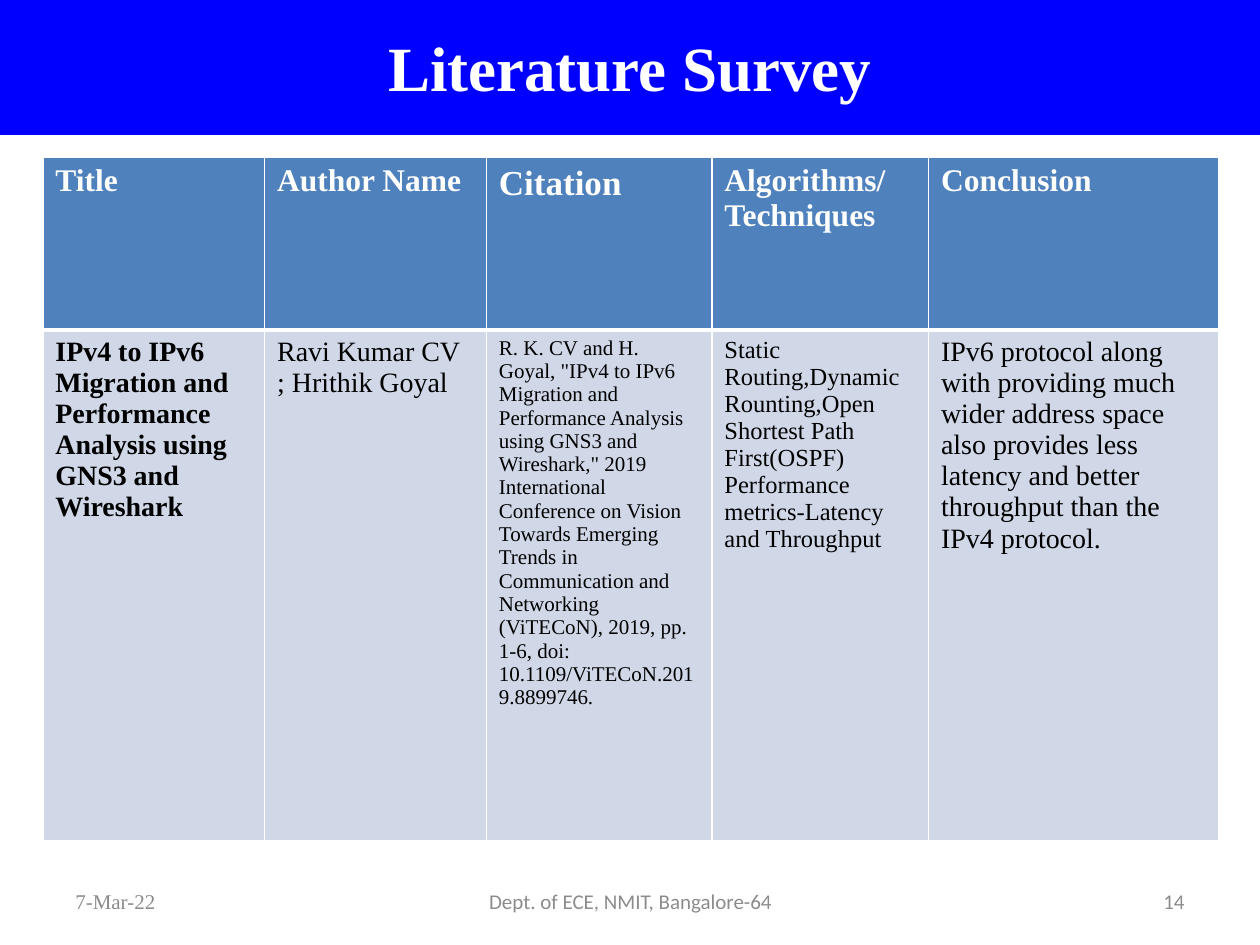
from lxml import etree
from pptx import Presentation
from pptx import util as u
from pptx.dml.color import RGBColor
from pptx.enum import shapes, text
from pptx.oxml.ns import qn

SERIF, SANS = "Times New Roman", "Calibri"
WHITE, BLACK, GREY = "FFFFFF", "000000", "8C8C8C"
BANNER_BLUE, HEADER_BLUE, BODY_BLUE = "0000FF", "4F81BD", "D0D8E8"
LEFT, CENTER, RIGHT = text.PP_ALIGN.LEFT, text.PP_ALIGN.CENTER, text.PP_ALIGN.RIGHT

# Content
TITLE = "Literature Survey"
# Each column: width, heading, heading size, body paragraphs, body size, body bold
COLUMNS = [
    (1.76, "Title", 18,
     ["IPv4 to IPv6 Migration and Performance Analysis using GNS3 and Wireshark"], 16, True),
    (1.76, "Author Name", 18,
     ["Ravi Kumar CV", ";\u00a0Hrithik Goyal"], 16, False),
    (1.79, "Citation", 20,
     ['R. K. CV and H. Goyal, "IPv4 to IPv6 Migration and Performance Analysis using '
      'GNS3 and Wireshark," 2019 International Conference on Vision Towards Emerging '
      'Trends in Communication and Networking (ViTECoN), 2019, pp. 1-6, '
      'doi: 10.1109/ViTECoN.2019.8899746.'], 12, False),
    (1.72, "Algorithms/Techniques", 18,
     ["Static Routing,Dynamic Rounting,Open Shortest Path First(OSPF)",
      "Performance metrics-Latency and Throughput"], 14, False),
    (2.3, "Conclusion", 18,
     ["IPv6 protocol along with providing much wider address space also provides less "
      "latency and better throughput than the IPv4 protocol."], 16, False),
]
ROW_HEIGHTS = [1.37, 4.05]
# Each footer part: left, width, words, font, alignment
FOOTER = [
    (0.5, 1, "7-Mar-22", SERIF, LEFT),
    (3.42, 3.17, "Dept. of ECE, NMIT, Bangalore-64", SANS, CENTER),
    (7.17, 2.33, "14", SANS, RIGHT),
]


def rgb(value):
    return RGBColor.from_string(value)


def write(frame, lines, size, color, font=SERIF, bold=False, align=LEFT):
    frame.word_wrap = True
    frame.text = "\n".join(lines)
    for para in frame.paragraphs:
        para.alignment = align
        para.font.name, para.font.size, para.font.bold = font, u.Pt(size), bold
        para.font.color.rgb = rgb(color)


def style_cell(cell, fill, top, bottom):
    properties = cell._tc.get_or_add_tcPr()
    for side, width in (("L", 1), ("R", 1), ("T", top), ("B", bottom)):
        line = etree.SubElement(properties, qn(f"a:ln{side}"), w=str(u.Pt(width)))
        solid = etree.SubElement(line, qn("a:solidFill"))
        etree.SubElement(solid, qn("a:srgbClr"), val=WHITE)
    cell.fill.solid()
    cell.fill.fore_color.rgb = rgb(fill)


deck = Presentation()
deck.slide_width, deck.slide_height = u.Inches(10), u.Inches(7.5)
page = deck.slides.add_slide(deck.slide_layouts[6])

# Title banner
banner = page.shapes.add_shape(shapes.MSO_SHAPE.RECTANGLE, 0, u.Inches(-0.02),
                               deck.slide_width, u.Inches(1.09))
banner.shadow.inherit = False
banner.fill.solid()
banner.fill.fore_color.rgb = rgb(BANNER_BLUE)
banner.line.fill.background()
banner.text_frame.vertical_anchor = text.MSO_ANCHOR.MIDDLE
write(banner.text_frame, [TITLE], 36, WHITE, bold=True, align=CENTER)

# Survey table
table = page.shapes.add_table(
    len(ROW_HEIGHTS), len(COLUMNS), u.Inches(0.34), u.Inches(1.25),
    u.Inches(sum(column[0] for column in COLUMNS)), u.Inches(sum(ROW_HEIGHTS))).table
for row, height in zip(table.rows, ROW_HEIGHTS):
    row.height = u.Inches(height)
for index, (width, heading, heading_size, body, body_size, bold) in enumerate(COLUMNS):
    table.columns[index].width = u.Inches(width)
    header_cell, body_cell = table.cell(0, index), table.cell(1, index)
    style_cell(header_cell, HEADER_BLUE, top=1, bottom=3)
    style_cell(body_cell, BODY_BLUE, top=3, bottom=1)
    write(header_cell.text_frame, [heading], heading_size, WHITE, bold=True)
    write(body_cell.text_frame, body, body_size, BLACK, bold=bold)

# Footer
for left, width, words, font, align in FOOTER:
    box = page.shapes.add_textbox(u.Inches(left), u.Inches(6.95), u.Inches(width), u.Inches(0.4))
    box.text_frame.vertical_anchor = text.MSO_ANCHOR.MIDDLE
    write(box.text_frame, [words], 12, GREY, font=font, align=align)

deck.save("out.pptx")
